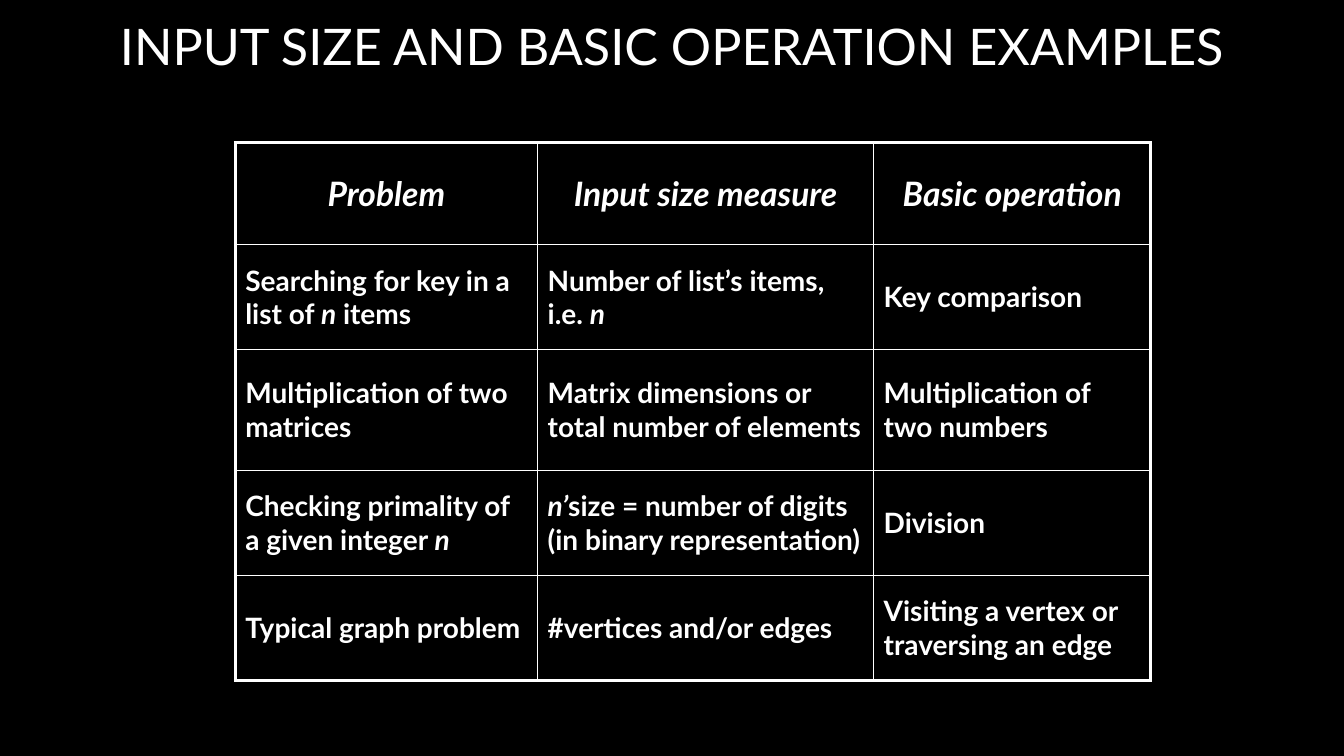
"""Build a slide with a table of input sizes and basic operations."""
from lxml.etree import SubElement
from pptx import Presentation
from pptx.dml.color import RGBColor
from pptx.enum.text import MSO_ANCHOR, MSO_AUTO_SIZE, PP_ALIGN
from pptx.oxml.ns import qn
from pptx.util import Pt

TITLE = "INPUT SIZE AND BASIC OPERATION EXAMPLES"
ROWS = [
    ("*Problem*", "*Input size measure*", "*Basic operation*"),
    ("Searching for key in a list of *n* items", "Number of list’s items,\ni.e. *n*", "Key comparison"),
    ("Multiplication of two matrices", "Matrix dimensions or total number of elements",
     "Multiplication of two numbers"),
    ("Checking primality of a given integer *n*",
     "*n’*size = number of digits (in binary representation)", "Division"),
    ("Typical graph problem", "#vertices and/or edges", "Visiting a vertex or traversing an edge"),
]
COLUMN_WIDTHS = [216, 240, 198]
ROW_HEIGHTS = [72.7, 75, 86.4, 75, 75]
TABLE_LEFT, TABLE_TOP = 168, 102
FONT, WHITE, BLACK = "Lato", "FFFFFF", "000000"
OUTER_LINE, INNER_LINE = 2.25, 1


def color(value):
    return RGBColor.from_string(value)


def style_run(span, size, bold=False, italic=False):
    span.font.name = FONT
    span.font.size = Pt(size)
    span.font.bold = bold
    span.font.italic = italic
    span.font.color.rgb = color(WHITE)


def write_marked(para, text, size):
    for line_number, line in enumerate(text.split("\n")):
        if line_number:
            para.add_line_break()
        for part_number, part in enumerate(line.split("*")):
            if part:
                span = para.add_run()
                span.text = part
                style_run(span, size, bold=True, italic=part_number % 2 == 1)


def set_borders(cell, outer_sides):
    properties = cell._tc.get_or_add_tcPr()
    for position, (side, is_outer) in enumerate(outer_sides.items()):
        width = OUTER_LINE if is_outer else INNER_LINE
        line = properties.makeelement(qn(f"a:{side}"), {"w": str(Pt(width))})
        fill = SubElement(line, qn("a:solidFill"))
        SubElement(fill, qn("a:srgbClr"), val=WHITE)
        properties.insert(position, line)


def add_title(page):
    title = page.shapes.title
    title.left, title.top, title.width, title.height = Pt(0), Pt(0), Pt(960), Pt(64.8)
    frame = title.text_frame
    frame.text = TITLE
    frame.auto_size = MSO_AUTO_SIZE.NONE
    frame.vertical_anchor = MSO_ANCHOR.MIDDLE
    para = frame.paragraphs[0]
    para.alignment = PP_ALIGN.CENTER
    style_run(para.runs[0], 36)


def add_problem_table(page):
    last_row, last_column = len(ROWS) - 1, len(COLUMN_WIDTHS) - 1
    table = page.shapes.add_table(
        len(ROWS), len(COLUMN_WIDTHS), Pt(TABLE_LEFT), Pt(TABLE_TOP),
        Pt(sum(COLUMN_WIDTHS)), Pt(sum(ROW_HEIGHTS))).table
    table.horz_banding = False
    for column, width in zip(table.columns, COLUMN_WIDTHS):
        column.width = Pt(width)
    for row, height in zip(table.rows, ROW_HEIGHTS):
        row.height = Pt(height)
    for row_number, texts in enumerate(ROWS):
        is_header = row_number == 0
        for column_number, text in enumerate(texts):
            cell = table.cell(row_number, column_number)
            cell.fill.solid()
            cell.fill.fore_color.rgb = color(BLACK)
            cell.vertical_anchor = MSO_ANCHOR.MIDDLE
            para = cell.text_frame.paragraphs[0]
            para.alignment = PP_ALIGN.CENTER if is_header else PP_ALIGN.LEFT
            write_marked(para, text, 24 if is_header else 20)
            set_borders(cell, {
                "lnL": column_number == 0, "lnR": column_number == last_column,
                "lnT": is_header, "lnB": row_number == last_row})


def main():
    deck = Presentation()
    deck.slide_width, deck.slide_height = Pt(960), Pt(540)
    page = deck.slides.add_slide(deck.slide_layouts[5])
    page.background.fill.solid()
    page.background.fill.fore_color.rgb = color(BLACK)
    add_title(page)
    add_problem_table(page)
    deck.save("out.pptx")


if __name__ == "__main__":
    main()
